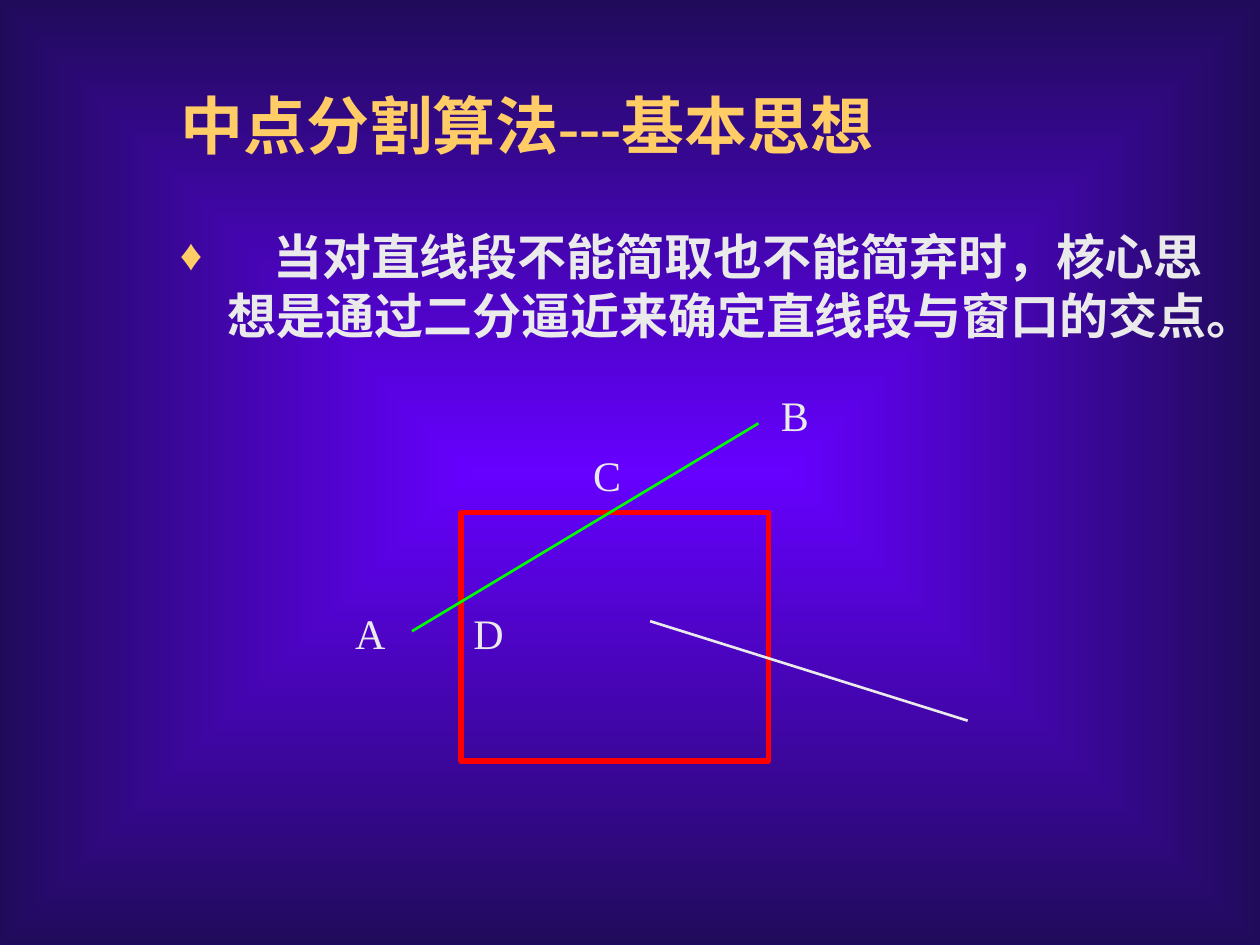
"""Build the slide on the basic idea of the midpoint subdivision algorithm."""
from pptx import Presentation
from pptx.dml.color import RGBColor
from pptx.enum import shapes, text
from pptx.oxml import parse_xml
from pptx.oxml.ns import nsdecls, qn
from pptx.util import Inches, Pt


def rgb(value):
    return RGBColor.from_string(value)


def write(frame, words, size, colour, bold, anchor):
    settings = {"word_wrap": True, "auto_size": text.MSO_AUTO_SIZE.NONE,
                "vertical_anchor": anchor,
                "margin_left": Inches(0.1), "margin_right": Inches(0.1),
                "margin_top": Inches(0.05), "margin_bottom": Inches(0.05)}
    for key, value in settings.items():
        setattr(frame, key, value)
    frame.text = words
    paragraph = frame.paragraphs[0]
    paragraph.alignment = text.PP_ALIGN.LEFT
    font = paragraph.runs[0].font
    for key, value in {"name": "Times New Roman", "size": Pt(size), "bold": bold}.items():
        setattr(font, key, value)
    font.color.rgb = rgb(colour)
    return paragraph


GOLD, PALE = "FFCC66", "EAEAEA"
TOP, MIDDLE = text.MSO_ANCHOR.TOP, text.MSO_ANCHOR.MIDDLE

deck = Presentation()
deck.slide_width, deck.slide_height = Inches(10), Inches(7.5)
slide = deck.slides.add_slide(deck.slide_layouts[5])

backdrop = slide.background.fill
backdrop.gradient()
for stop, colour, position in zip(backdrop.gradient_stops, ("6600FF", "200B5B"), (0, 1)):
    stop.color.rgb = rgb(colour)
    stop.position = position
direction = next(slide.element.iter(qn("a:lin")))
direction.getparent().replace(direction, parse_xml(
    f'<a:path {nsdecls("a")} path="rect">'
    '<a:fillToRect l="50000" t="50000" r="50000" b="50000"/></a:path>'))

title = slide.shapes.title
for side, length in {"left": 1.33, "top": 0.33, "width": 8.5, "height": 1.32}.items():
    setattr(title, side, Inches(length))
write(title.text_frame, "中点分割算法---基本思想", 36, GOLD, True, MIDDLE)

idea_box = slide.shapes.add_textbox(Inches(1.33), Inches(1.75), Inches(8.5), Inches(1.6))
idea = write(idea_box.text_frame,
             "\t当对直线段不能简取也不能简弃时，核心思想是通过二分逼近来确定直线段与窗口的交点。",
             28, PALE, True, TOP)
idea_format = idea._p.get_or_add_pPr()
idea_format.set("marL", str(Inches(0.38)))
idea_format.set("indent", str(-Inches(0.38)))
for bullet_part in (
        f'<a:buClr {nsdecls("a")}><a:srgbClr val="{GOLD}"/></a:buClr>',
        f'<a:buSzPct {nsdecls("a")} val="90000"/>',
        f'<a:buFont {nsdecls("a")} typeface="Times New Roman"/>',
        f'<a:buChar {nsdecls("a")} char="♦"/>',
        f'<a:tabLst {nsdecls("a")}><a:tab pos="{Inches(0.37)}" algn="l"/>'
        f'<a:tab pos="{Inches(0.74)}" algn="l"/></a:tabLst>'):
    idea_format.append(parse_xml(bullet_part))

window = slide.shapes.add_shape(shapes.MSO_SHAPE.RECTANGLE, Inches(3.66), Inches(4.07),
                                Inches(2.44), Inches(1.97))
window.shadow.inherit = False
window.fill.background()
window.line.color.rgb = rgb("FF0000")
window.line.width = Pt(3)

for ends, colour in (((5.16, 4.93, 7.68, 5.72), PALE), ((3.27, 5.01, 6.02, 3.36), "00FF00")):
    segment = slide.shapes.add_connector(shapes.MSO_CONNECTOR.STRAIGHT, *map(Inches, ends))
    segment.line.color.rgb = rgb(colour)
    segment.line.width = Pt(1.5)
    segment._element.spPr.append(parse_xml(f'<a:effectLst {nsdecls("a")}/>'))

for letter, left, top in (("A", 2.72, 4.77), ("B", 6.1, 3.04), ("C", 4.61, 3.52), ("D", 3.66, 4.77)):
    point = slide.shapes.add_textbox(Inches(left), Inches(top), Inches(0.47), Inches(0.5))
    write(point.text_frame, letter, 24, PALE, False, TOP)

deck.save("out.pptx")
